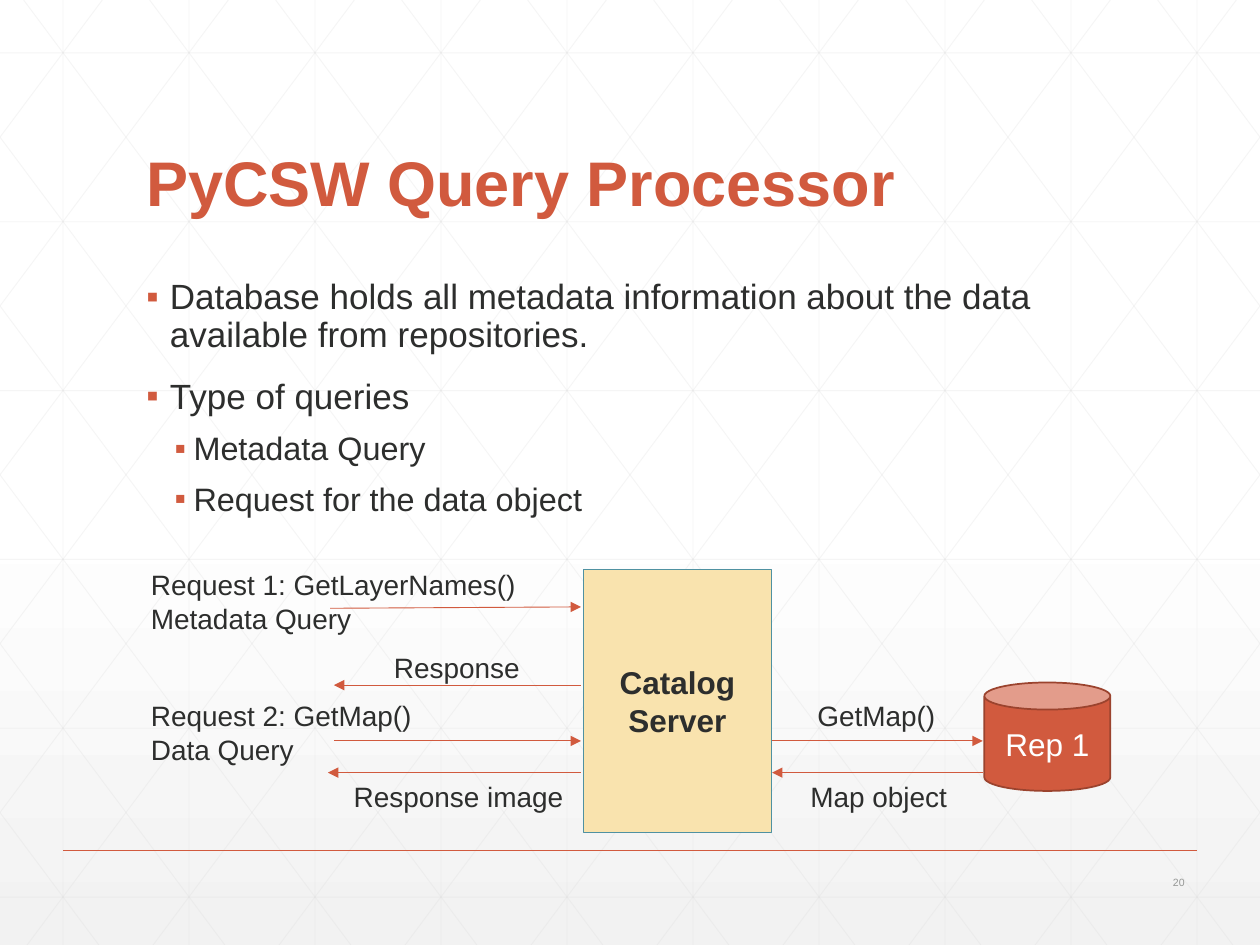
from copy import deepcopy

from lxml.etree import SubElement
from pptx import Presentation
from pptx.dml.color import RGBColor
from pptx.enum.shapes import MSO_CONNECTOR, MSO_SHAPE
from pptx.enum.text import MSO_ANCHOR, PP_ALIGN
from pptx.oxml.ns import qn
from pptx.util import Pt

WIDTH, HEIGHT = 720, 540
FONT = "Arial"
ACCENT = RGBColor(0xD1, 0x5A, 0x3E)
ACCENT_DARK = RGBColor(0x9B, 0x43, 0x2E)
INK = RGBColor(0x2D, 0x2E, 0x2D)
GRAY = RGBColor(0x95, 0x97, 0x95)
GRID = RGBColor(0xD9, 0xD9, 0xD9)
WHITE = RGBColor(0xFF, 0xFF, 0xFF)
PALE = RGBColor(0xF2, 0xF2, 0xF2)
CREAM = RGBColor(0xF9, 0xE3, 0xAE)
TEAL = RGBColor(0x4F, 0x91, 0xA1)

BULLETS = [  # text, size, left indent, hanging indent, space before
    ("Database holds all metadata information about the data "
     "available from repositories.", 20, 13.5, 13.5, 0),
    ("Type of queries", 20, 13.5, 13.5, 13.5),
    ("Metadata Query", 18.5, 27, 10.8, 9),
    ("Request for the data object", 18.5, 27, 10.8, 9),
]
ARROWS = [  # start x, start y, end x, end y
    (188.6, 347.6, 332, 346.8),
    (332, 391.5, 190.8, 391.5),
    (190.8, 423.4, 332, 423.4),
    (332, 441.5, 187.4, 441.5),
    (441.2, 423.4, 561.6, 423.4),
    (561.6, 441.5, 441.2, 441.5),
]
LABELS = [  # lines, left, top, width, height
    (["Request 1: GetLayerNames()", "Metadata Query"], 79.2, 321, 225.4, 46),
    (["Response"], 218, 368, 87, 26.6),
    (["Request 2: GetMap()", "Data Query"], 79.2, 395.8, 165.6, 46),
    (["GetMap()"], 460, 395.8, 82.8, 26.6),
    (["Map object"], 456, 441.7, 93.6, 26.6),
    (["Response image"], 195, 441.7, 135.4, 26.6),
]


def paint_background(slide):
    fill = slide.background.fill
    fill.gradient()
    fill.gradient_angle = 270
    stop_list = slide.element.find(".//" + qn("a:gsLst"))
    stop_list.append(deepcopy(stop_list[-1]))
    stops = [(0, WHITE), (0.53, WHITE), (1, PALE)]
    for stop, (position, color) in zip(fill.gradient_stops, stops):
        stop.position = position
        stop.color.rgb = color


def add_line(slide, x1, y1, x2, y2, color=ACCENT, width=0.5):
    line = slide.shapes.add_connector(
        MSO_CONNECTOR.STRAIGHT, Pt(x1), Pt(y1), Pt(x2), Pt(y2))
    line.line.color.rgb = color
    line.line.width = Pt(width)
    SubElement(line.element.spPr, qn("a:effectLst"))
    return line


def add_grid_line(slide, *ends):
    line = add_line(slide, *ends, color=GRID)
    color = line.element.spPr.find(".//" + qn("a:srgbClr"))
    SubElement(color, qn("a:alpha"), val="25000")


def add_grid(slide):
    """Draw faint rows, columns and mirrored diagonals clipped to the slide."""
    for column in range(10):
        x = 36 + 72 * column
        add_grid_line(slide, x, 0, x, HEIGHT)
    for row in range(6):
        y = 30.24 + 96.48 * row
        add_grid_line(slide, 0, y, WIDTH, y)
    run = 403
    slope = HEIGHT / run
    for step in range(-5, 10):
        start = 13.5 + 72 * step
        left, right = max(start, 0), min(start + run, WIDTH)
        top, bottom = (left - start) * slope, (right - start) * slope
        add_grid_line(slide, left, top, right, bottom)
        add_grid_line(slide, WIDTH - left, top, WIDTH - right, bottom)


def add_arrow(slide, *ends):
    arrow = add_line(slide, *ends)
    SubElement(arrow.line._get_or_add_ln(), qn("a:tailEnd"), type="triangle")


def write(shape, lines, size, color=INK, bold=False,
          align=PP_ALIGN.LEFT, anchor=MSO_ANCHOR.TOP, wrap=True):
    frame = shape.text_frame
    frame.word_wrap = wrap
    frame.vertical_anchor = anchor
    frame.text = "\n".join(lines)
    for paragraph in frame.paragraphs:
        paragraph.alignment = align
        font = paragraph.font
        font.name, font.size, font.bold = FONT, Pt(size), bold
        font.color.rgb = color
    return frame


def add_text(slide, lines, left, top, width, height, size, **style):
    box = slide.shapes.add_textbox(Pt(left), Pt(top), Pt(width), Pt(height))
    return write(box, lines, size, **style)


def add_node(slide, kind, lines, left, top, width, height,
             fill, outline, outline_width, **style):
    node = slide.shapes.add_shape(
        kind, Pt(left), Pt(top), Pt(width), Pt(height))
    node.shadow.inherit = False
    node.fill.solid()
    node.fill.fore_color.rgb = fill
    node.line.color.rgb = outline
    node.line.width = Pt(outline_width)
    write(node, lines, 18, align=PP_ALIGN.CENTER,
          anchor=MSO_ANCHOR.MIDDLE, **style)


def add_bullets(slide):
    box = slide.shapes.add_textbox(Pt(76.5), Pt(156.2), Pt(567), Pt(300))
    frame = box.text_frame
    frame.word_wrap = True
    for index, (text, size, indent, hanging, before) in enumerate(BULLETS):
        paragraph = frame.add_paragraph() if index else frame.paragraphs[0]
        paragraph.text = text
        paragraph.line_spacing = 0.9
        paragraph.space_before = Pt(before)
        properties = paragraph._p.get_or_add_pPr()
        properties.set("marL", str(Pt(indent)))
        properties.set("indent", str(-Pt(hanging)))
        bullet_color = SubElement(properties, qn("a:buClr"))
        SubElement(bullet_color, qn("a:srgbClr"), val=str(ACCENT))
        SubElement(properties, qn("a:buFont"), typeface=FONT)
        SubElement(properties, qn("a:buChar"), char="▪")
        font = paragraph.font
        font.name, font.size = FONT, Pt(size)
        font.color.rgb = INK


def main():
    presentation = Presentation()
    presentation.slide_width, presentation.slide_height = Pt(WIDTH), Pt(HEIGHT)
    slide = presentation.slides.add_slide(presentation.slide_layouts[6])

    paint_background(slide)
    add_grid(slide)
    add_line(slide, 36, 486, 684, 486, width=1)

    title = add_text(slide, ["PyCSW Query Processor"], 76.5, 39.6, 567, 90, 36,
                     color=ACCENT, bold=True, anchor=MSO_ANCHOR.BOTTOM)
    title.paragraphs[0].line_spacing = 0.9
    add_bullets(slide)

    add_node(slide, MSO_SHAPE.RECTANGLE, ["Catalog", "Server"],
             333.4, 325.4, 107.5, 150.3, CREAM, TEAL, 0.5, bold=True)
    add_node(slide, MSO_SHAPE.CAN, ["Rep 1"],
             562.5, 390, 72, 62, ACCENT, ACCENT_DARK, 1, color=WHITE)
    for ends in ARROWS:
        add_arrow(slide, *ends)
    for lines, *place in LABELS:
        add_text(slide, lines, *place, size=16, wrap=False)
    add_text(slide, ["20"], 630, 495.4, 54, 17.3, 6, color=GRAY,
             align=PP_ALIGN.RIGHT, anchor=MSO_ANCHOR.MIDDLE)

    presentation.save("out.pptx")


if __name__ == "__main__":
    main()
